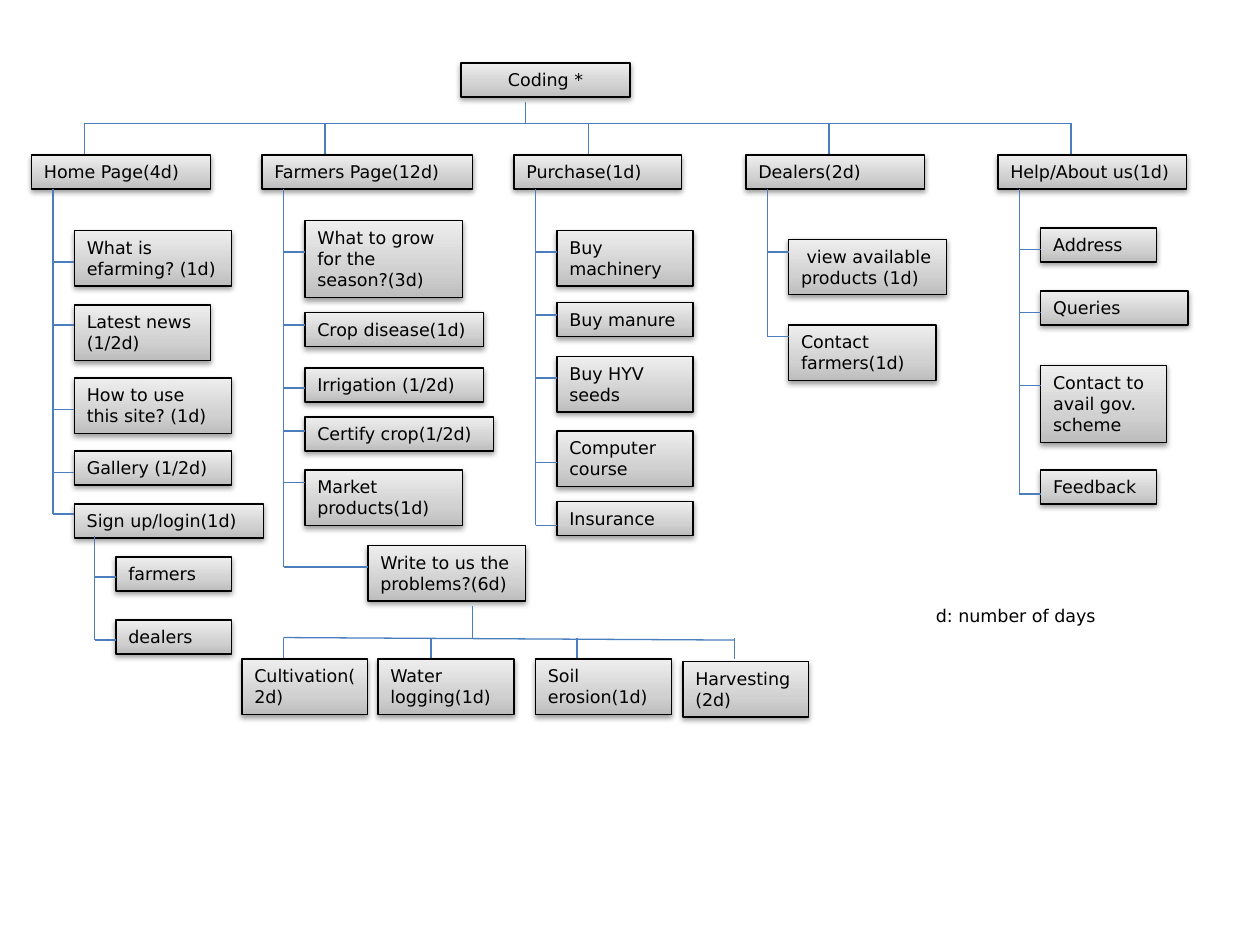
from collections import namedtuple
from copy import deepcopy

from lxml import etree
from pptx import Presentation
from pptx import util as u
from pptx.dml import color
from pptx.enum import shapes, text
from pptx.oxml import ns

Task = namedtuple("Task", "label top width lines twig gap", defaults=[0.17])
Page = namedtuple("Page", "label left width stem tasks")

TOP_BAR = 0.98
HEADER_TOP = 1.23
HEADER_BOTTOM = 1.5

PAGES = [
    Page("Home Page(4d)", 0.25, 1.42, 0.67, [
        Task("What is efarming? (1d)", 1.83, 1.25, 2, 2.08),
        Task("Latest news (1/2d)", 2.42, 1.08, 2, 2.58),
        Task("How to use this site? (1d)", 3, 1.25, 2, 3.25),
        Task("Gallery (1/2d)", 3.58, 1.25, 1, 3.75),
        Task("Sign up/login(1d)", 4, 1.5, 1, 4.08),
    ]),
    Page("Farmers Page(12d)", 2.08, 1.67, 2.58, [
        Task("What to grow for the season?(3d)", 1.75, 1.25, 3, 2),
        Task("Crop disease(1d)", 2.48, 1.42, 1, 2.58),
        Task("Irrigation (1/2d)", 2.92, 1.42, 1, 3.08),
        Task("Certify crop(1/2d)", 3.31, 1.5, 1, 3.42),
        Task("Market products(1d)", 3.73, 1.25, 2, 3.83),
        Task("Write to us the problems?(6d)", 4.33, 1.25, 2, 4.5, 0.67),
    ]),
    Page("Purchase(1d)", 4.08, 1.33, 4.67, [
        Task("Buy machinery", 1.83, 1.08, 2, 2),
        Task("Buy manure", 2.4, 1.08, 1, 2.5),
        Task("Buy HYV seeds", 2.83, 1.08, 2, 3),
        Task("Computer course", 3.42, 1.08, 2, 3.67),
        Task("Insurance", 3.98, 1.08, 1, 4.17),
    ]),
    Page("Dealers(2d)", 5.92, 1.42, 6.58, [
        Task(" view available products (1d)", 1.9, 1.25, 2, 2),
        Task("Contact farmers(1d)", 2.58, 1.17, 2, 2.67),
    ]),
    Page("Help/About us(1d)", 7.92, 1.5, 8.5, [
        Task("Address", 1.81, 0.92, 1, 1.98),
        Task("Queries", 2.31, 1.17, 1, 2.48),
        Task("Contact to avail gov. scheme", 2.9, 1, 3, 3.06),
        Task("Feedback", 3.73, 0.92, 1, 3.92),
    ]),
]

LOGIN_TASKS = [
    Task("farmers", 4.42, 0.92, 1, 4.58),
    Task("dealers", 4.92, 0.92, 1, 5.08),
]

PROBLEMS = [
    ("Cultivation(2d)", 1.92, 5.23, 1, 2.25),
    ("Water logging(1d)", 3, 5.23, 1.08, 3.42),
    ("Soil erosion(1d)", 4.25, 5.23, 1.08, 4.58),
    ("Harvesting(2d)", 5.42, 5.25, 1, 5.83),
]


def rgb(value):
    return color.RGBColor.from_string(value)


class Chart:
    font_name = "DejaVu Sans"
    font_size = u.Pt(10)
    ink = "000000"
    wire = "4B7EBC"
    line_width = u.Pt(0.75)
    gradient = [(0, "BDBDBD"), (0.35, "D1D1D1"), (1, "EEEEEE")]

    def __init__(self, slide):
        self.slide = slide

    def label(self, shape, wording, align=text.PP_ALIGN.LEFT):
        frame = shape.text_frame
        frame.word_wrap = True
        frame.auto_size = text.MSO_AUTO_SIZE.SHAPE_TO_FIT_TEXT
        frame.vertical_anchor = text.MSO_ANCHOR.TOP
        para = frame.paragraphs[0]
        para.text = wording
        para.alignment = align
        para.font.name = self.font_name
        para.font.size = self.font_size
        para.font.color.rgb = rgb(self.ink)

    def shade(self, shape):
        fill = shape.fill
        fill.gradient()
        fill.gradient_angle = 90
        stop_list = shape._element.spPr.find(".//" + ns.qn("a:gsLst"))
        stop_list.append(deepcopy(stop_list[0]))
        for stop, (position, tone) in zip(fill.gradient_stops, self.gradient):
            stop.position = position
            stop.color.rgb = rgb(tone)

    def cast_shadow(self, shape):
        shape.shadow.inherit = False
        effects = shape._element.spPr.find(ns.qn("a:effectLst"))
        shadow = etree.SubElement(
            effects, ns.qn("a:outerShdw"), blurRad="40000", dist="20000",
            dir="5400000", rotWithShape="0")
        tone = etree.SubElement(shadow, ns.qn("a:srgbClr"), val=self.ink)
        etree.SubElement(tone, ns.qn("a:alpha"), val="38000")

    def box(self, wording, left, top, width, lines=1, align=text.PP_ALIGN.LEFT):
        box = self.slide.shapes.add_shape(
            shapes.MSO_SHAPE.RECTANGLE, u.Inches(left), u.Inches(top),
            u.Inches(width), u.Inches(0.1 + 0.17 * lines))
        self.shade(box)
        box.line.color.rgb = rgb(self.ink)
        box.line.width = self.line_width
        self.cast_shadow(box)
        self.label(box, wording, align)

    def line(self, x1, y1, x2, y2):
        line = self.slide.shapes.add_connector(
            shapes.MSO_CONNECTOR.STRAIGHT,
            u.Inches(x1), u.Inches(y1), u.Inches(x2), u.Inches(y2))
        line.line.color.rgb = rgb(self.wire)
        line.line.width = self.line_width
        etree.SubElement(line._element.spPr, ns.qn("a:effectLst"))

    def branch(self, rail, top, tasks):
        self.line(rail, top, rail, tasks[-1].twig)
        for task in tasks:
            left = rail + task.gap
            self.box(task.label, left, task.top, task.width, task.lines)
            self.line(rail, task.twig, left, task.twig)

    def note(self, wording, left, top, width):
        note = self.slide.shapes.add_textbox(
            u.Inches(left), u.Inches(top), u.Inches(width), u.Inches(0.27))
        self.label(note, wording)


def main():
    deck = Presentation()
    deck.slide_width = u.Inches(10)
    deck.slide_height = u.Inches(7.5)
    chart = Chart(deck.slides.add_slide(deck.slide_layouts[6]))

    chart.box("Coding *", 3.66, 0.5, 1.34, align=text.PP_ALIGN.CENTER)
    chart.line(4.17, 0.81, 4.17, TOP_BAR)
    chart.line(PAGES[0].stem, TOP_BAR, PAGES[-1].stem, TOP_BAR)
    for page in PAGES:
        chart.line(page.stem, TOP_BAR, page.stem, HEADER_TOP)
        chart.box(page.label, page.left, HEADER_TOP, page.width)
        chart.branch(page.left + 0.17, HEADER_BOTTOM, page.tasks)
    chart.branch(0.75, 4.25, LOGIN_TASKS)

    chart.line(3.75, 4.81, 3.75, 5.06)
    chart.line(2.25, 5.06, 5.83, 5.08)
    for label, left, top, width, stem in PROBLEMS:
        chart.line(stem, 5.06, stem, 5.23)
        chart.box(label, left, top, width, lines=2)

    chart.note("d: number of days", 7.33, 4.75, 1.67)
    deck.save("out.pptx")


if __name__ == "__main__":
    main()
